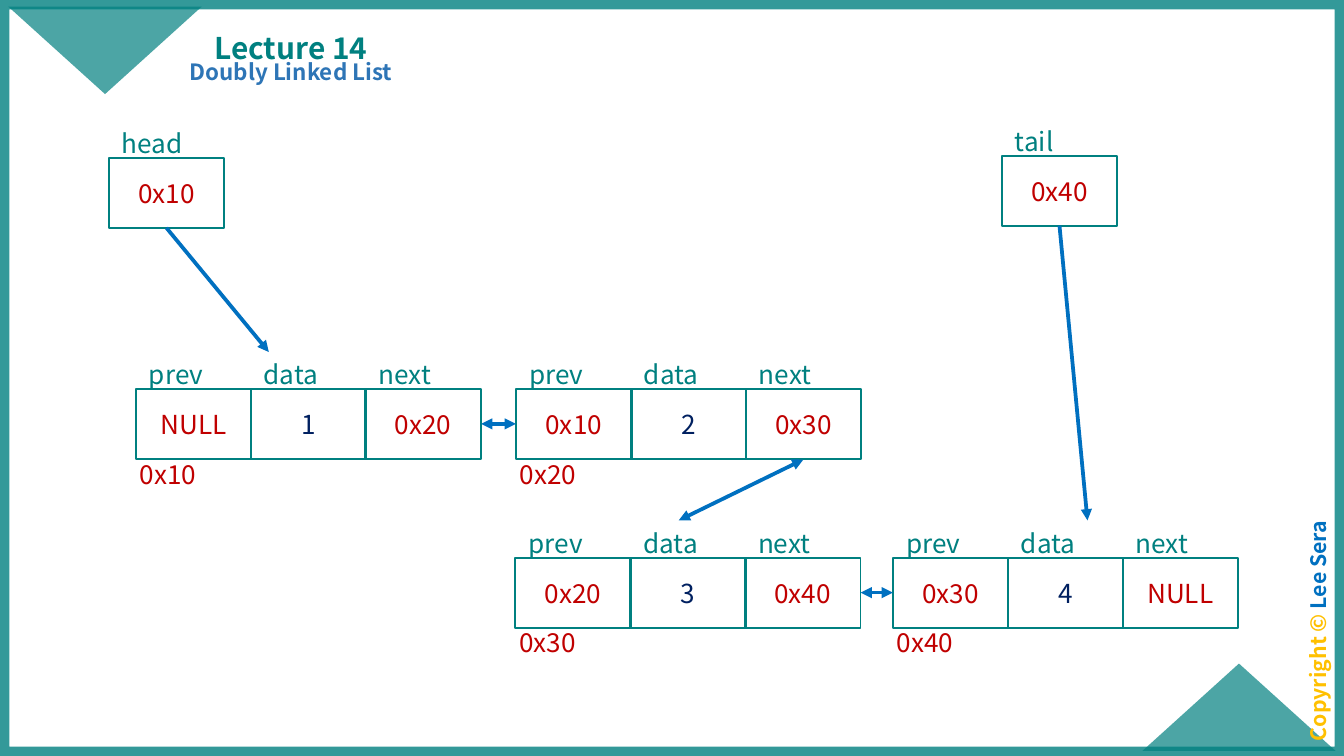
from dataclasses import dataclass

from lxml.etree import SubElement
from pptx import Presentation
from pptx.dml.color import RGBColor
from pptx.enum.shapes import MSO_CONNECTOR, MSO_SHAPE
from pptx.enum.text import MSO_ANCHOR, MSO_AUTO_SIZE, PP_ALIGN
from pptx.oxml.ns import qn
from pptx.util import Pt

FONT = "Noto Sans CJK KR"
TEAL, RED, NAVY, BLUE = "008080", "C00000", "002060", "0070C0"
GOLD, STEEL = "FFC000", "2E75B6"
CELL_W, CELL_H, CELL_STEP = 62, 37.5, 61.5
LABEL_W, LABEL_H, LABEL_RISE = 85.7, 24.2, 19.8


@dataclass
class Pointer:
    """A named variable that holds an address."""
    name: str
    value: str
    x: float
    y: float


@dataclass
class Node:
    """A list node with its address and three fields."""
    address: str
    prev: str
    data: str
    next: str
    x: float
    y: float


@dataclass
class Link:
    """An arrow between two points."""
    x1: float
    y1: float
    x2: float
    y2: float
    both_ways: bool = True


@dataclass
class Caption:
    """A bold centred text made of (text, colour) runs."""
    runs: list
    size: float
    box: tuple
    spacing: float
    before: float = 0
    anchor: MSO_ANCHOR = MSO_ANCHOR.TOP
    rotation: float = 0


POINTERS = [Pointer("head", "0x10", 58.2, 84.6), Pointer("tail", "0x40", 536.6, 83.4)]
NODES = [
    Node("0x10", "NULL", "1", "0x20", 72.7, 208.4),
    Node("0x20", "0x10", "2", "0x30", 276.4, 208.4),
    Node("0x30", "0x20", "3", "0x40", 276, 298.8),
    Node("0x40", "0x30", "4", "NULL", 478.3, 298.8),
]
LINKS = [
    Link(89.2, 122.1, 144, 188.6, both_ways=False),
    Link(567.6, 120.9, 582.6, 278.8, both_ways=False),
    Link(257.8, 227.1, 276.4, 227.1),
    Link(430.4, 246.2, 363.6, 278.8),
    Link(461, 317.5, 478.3, 317.5),
]
CAPTIONS = [
    Caption([("Copyright © ", GOLD), ("Lee Sera", BLUE)], 11.4,
            (642.2, 329, 133.9, 18), 0.7, before=10, rotation=270),
    Caption([("Lecture 14", TEAL)], 16, (100.8, 4.3, 110.2, 33.8), 0.9,
            anchor=MSO_ANCHOR.BOTTOM),
    Caption([("Doubly Linked List", STEEL)], 12, (79.2, 30.2, 153.4, 24.5), 0.9,
            before=7.5),
]


def rgb(color: str) -> RGBColor:
    """Turn a hex string into a colour."""
    return RGBColor.from_string(color)


def set_alpha(sp, percent: int) -> None:
    """Make the colours of a shape partly transparent."""
    for clr in sp.element.spPr.iter(qn("a:srgbClr")):
        SubElement(clr, qn("a:alpha"), val=str(percent * 1000))


def add_box(shapes, kind: MSO_SHAPE, box: tuple, line: str = "", width: float = 1,
            fill: str = ""):
    """Add a preset shape with an optional line and fill."""
    sp = shapes.add_shape(kind, *map(Pt, box))
    sp.shadow.inherit = False
    if fill:
        sp.fill.solid()
        sp.fill.fore_color.rgb = rgb(fill)
    else:
        sp.fill.background()
    if line:
        sp.line.color.rgb = rgb(line)
        sp.line.width = Pt(width)
    else:
        sp.line.fill.background()
    return sp


def write(p, text: str, color: str) -> None:
    """Put 14 pt text into a paragraph."""
    p.text = text
    p.font.size, p.font.name = Pt(14), FONT
    p.font.color.rgb = rgb(color)


def add_cell(shapes, text: str, color: str, x: float, y: float) -> None:
    """Add an outlined memory cell with a centred value."""
    sp = add_box(shapes, MSO_SHAPE.RECTANGLE, (x, y, CELL_W, CELL_H), TEAL)
    tf = sp.text_frame
    tf.word_wrap = True
    tf.vertical_anchor = MSO_ANCHOR.MIDDLE
    tf.paragraphs[0].alignment = PP_ALIGN.CENTER
    write(tf.paragraphs[0], text, color)


def add_label(shapes, text: str, color: str, x: float, y: float) -> None:
    """Add a plain label beside a cell."""
    tf = shapes.add_textbox(Pt(x), Pt(y), Pt(LABEL_W), Pt(LABEL_H)).text_frame
    tf.word_wrap = True
    tf.auto_size = MSO_AUTO_SIZE.SHAPE_TO_FIT_TEXT
    write(tf.paragraphs[0], text, color)


def add_pointer(shapes, ptr: Pointer) -> None:
    """Add a pointer cell and its name as one group."""
    group = shapes.add_group_shape().shapes
    add_cell(group, ptr.value, RED, ptr.x, ptr.y)
    add_label(group, ptr.name, TEAL, ptr.x, ptr.y - LABEL_RISE)


def add_node(shapes, node: Node) -> None:
    """Add the cells, field names and address of a node as one group."""
    group = shapes.add_group_shape().shapes
    fields = [("prev", node.prev, RED), ("data", node.data, NAVY), ("next", node.next, RED)]
    for i, (name, value, color) in enumerate(fields):
        x = node.x + i * CELL_STEP
        add_cell(group, value, color, x, node.y)
        add_label(group, name, TEAL, x, node.y - LABEL_RISE)
    add_label(group, node.address, RED, node.x - 5, node.y + 33.4)


def add_link(shapes, link: Link) -> None:
    """Add an arrow with one or two heads."""
    cx = shapes.add_connector(MSO_CONNECTOR.STRAIGHT, Pt(link.x1), Pt(link.y1),
                              Pt(link.x2), Pt(link.y2))
    cx.line.color.rgb = rgb(BLUE)
    cx.line.width = Pt(2)
    ln = cx.element.spPr.find(qn("a:ln"))
    for end in ["a:headEnd", "a:tailEnd"] if link.both_ways else ["a:tailEnd"]:
        SubElement(ln, qn(end), type="triangle")
    SubElement(cx.element.spPr, qn("a:effectLst"))


def add_caption(shapes, cap: Caption) -> None:
    """Add a bold centred text box."""
    sp = shapes.add_textbox(*map(Pt, cap.box))
    sp.rotation = cap.rotation
    tf = sp.text_frame
    tf.word_wrap = True
    tf.vertical_anchor = cap.anchor
    tf.margin_left = tf.margin_right = Pt(5.4)
    tf.margin_top = tf.margin_bottom = Pt(2.7)
    p = tf.paragraphs[0]
    p.alignment = PP_ALIGN.CENTER
    p.line_spacing, p.space_before = cap.spacing, Pt(cap.before)
    p.font.size, p.font.name, p.font.bold = Pt(cap.size), FONT, True
    for text, color in cap.runs:
        r = p.add_run()
        r.text = text
        r.font.color.rgb = rgb(color)


prs = Presentation()
prs.slide_width, prs.slide_height = Pt(720), Pt(405)
s = prs.slides.add_slide(prs.slide_layouts[6])

set_alpha(add_box(s.shapes, MSO_SHAPE.RECTANGLE, (0, 0, 720, 405), TEAL, 10), 80)
for x, y, angle in [(612, 355.5, 0), (4.5, 3.6, 180)]:
    corner = add_box(s.shapes, MSO_SHAPE.ISOSCELES_TRIANGLE, (x, y, 103.5, 46.8), fill=TEAL)
    corner.rotation = angle
    set_alpha(corner, 70)
for draw, items in [(add_caption, CAPTIONS), (add_pointer, POINTERS),
                    (add_node, NODES), (add_link, LINKS)]:
    for item in items:
        draw(s.shapes, item)

prs.save("out.pptx")
